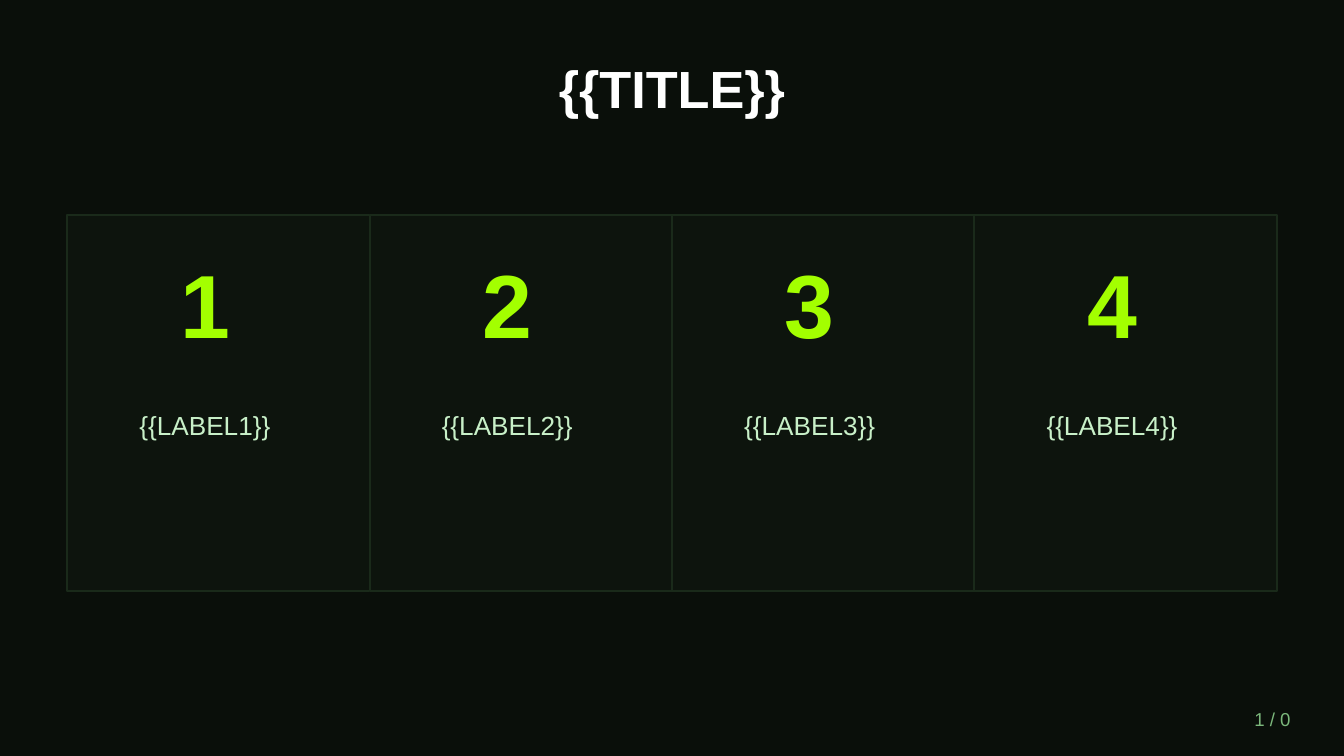
import pptx
import pptx.util
import pptx.dml.color
import pptx.enum.shapes
import pptx.enum.text

Pt = pptx.util.Pt
RGB = pptx.dml.color.RGBColor.from_string
ALIGN = pptx.enum.text.PP_ALIGN
ANCHOR = pptx.enum.text.MSO_ANCHOR

hues = {
    "back": "0A0F0A",
    "card": "0D140D",
    "edge": "1A2A1A",
    "title": "FFFFFF",
    "digit": "A3FF00",
    "label": "C8F0C8",
    "page": "7CB87C",
}

deck = pptx.Presentation()
deck.slide_width = Pt(720)
deck.slide_height = Pt(405)
slide = deck.slides.add_slide(deck.slide_layouts[6])
slide.background.fill.solid()
slide.background.fill.fore_color.rgb = RGB(hues["back"])


def add_text(text, left, top, width, height, size, hue, bold=False,
             align=ALIGN.CENTER, anchor=ANCHOR.MIDDLE):
    box = slide.shapes.add_textbox(Pt(left), Pt(top), Pt(width), Pt(height))
    frame = box.text_frame
    frame.word_wrap = True
    frame.vertical_anchor = anchor
    frame.text = text
    para = frame.paragraphs[0]
    para.alignment = align
    font = para.runs[0].font
    font.name = "Arial"
    font.size = Pt(size)
    font.bold = bold
    font.color.rgb = RGB(hues[hue])


add_text("{{TITLE}}", 36, 21.6, 648, 50.4, 28, "title", bold=True)

count = 4
width = 648 / count
inner = width - 14.4
for step in range(count):
    left = 36 + step * width
    card = slide.shapes.add_shape(
        pptx.enum.shapes.MSO_SHAPE.RECTANGLE,
        Pt(left), Pt(115.2), Pt(width), Pt(201.6))
    card.shadow.inherit = False
    card.fill.solid()
    card.fill.fore_color.rgb = RGB(hues["card"])
    card.line.color.rgb = RGB(hues["edge"])
    card.line.width = Pt(1)
    add_text(str(step + 1), left, 108, inner, 108, 48, "digit", bold=True)
    add_text(f"{{{{LABEL{step + 1}}}}}", left, 216, inner, 72, 14, "label",
             anchor=ANCHOR.TOP)

add_text("1 / 0", 612, 374.4, 86.4, 21.6, 10, "page", align=ALIGN.RIGHT)

deck.save("out.pptx")
